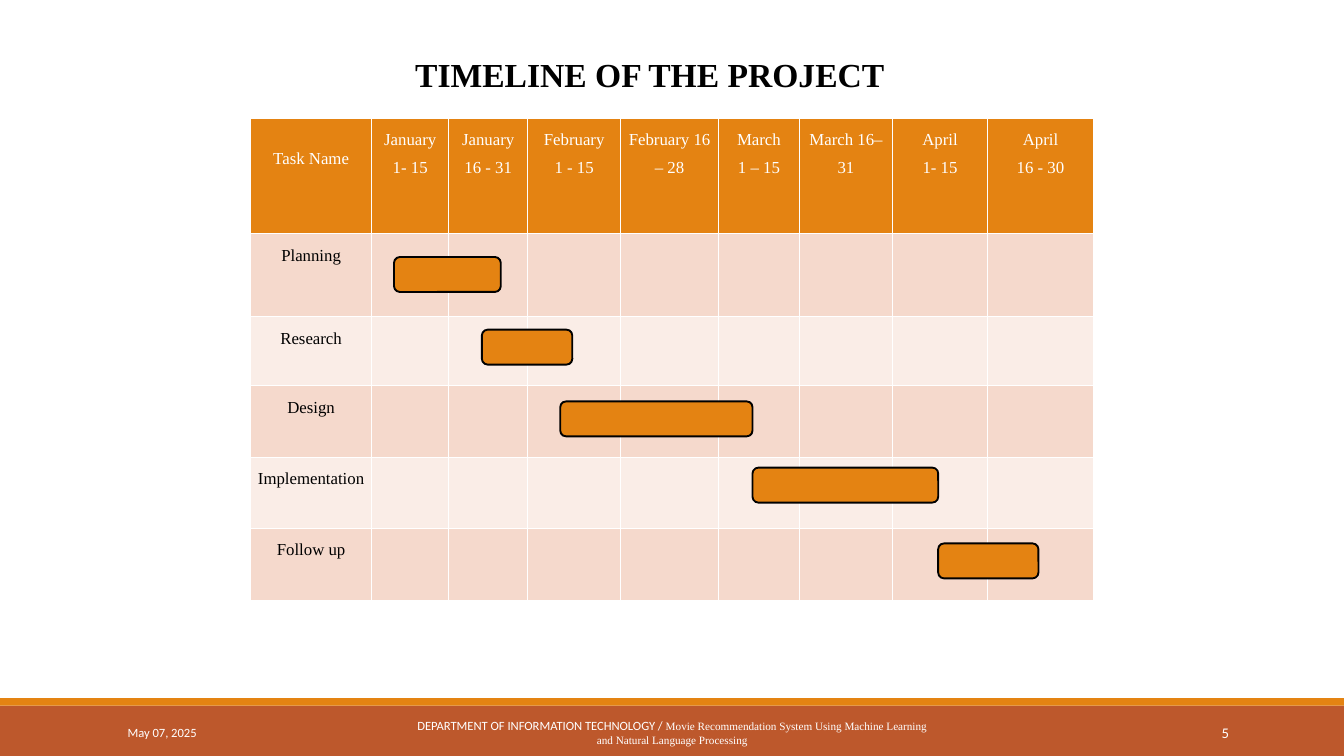
from itertools import accumulate

from lxml.etree import SubElement
from pptx import Presentation
from pptx.dml.color import RGBColor
from pptx.enum.shapes import MSO_SHAPE as SHAPE
from pptx.enum.text import MSO_ANCHOR as ANCHOR, PP_ALIGN as ALIGN
from pptx.oxml.ns import qn
from pptx.util import Inches, Pt

ORANGE = RGBColor(0xE4, 0x83, 0x12)
RUST = RGBColor(0xBD, 0x58, 0x2C)
BAND_DARK = RGBColor(0xF5, 0xD9, 0xCC)
BAND_LIGHT = RGBColor(0xFA, 0xED, 0xE7)
WHITE = RGBColor(0xFF, 0xFF, 0xFF)
BLACK = RGBColor(0, 0, 0)
SERIF, SANS = "Times New Roman", "Calibri"

WIDTH, HEIGHT = 20, 11.25
COLUMNS = [1.8, 1.15, 1.17, 1.39, 1.45, 1.21, 1.38, 1.42, 1.57]
ROWS = [1.72, 1.23, 1.03, 1.06, 1.06, 1.08]
BAR_HEIGHT = 0.52
HEADINGS = ["Task Name", "January\n1- 15", "January 16 - 31", "February\n1 - 15",
            "February 16 – 28", "March\n1 – 15", "March 16– 31", "April\n1- 15",
            "April\n16 - 30"]
# task, first column, last column, offset within the row
TASKS = [("Planning", 1.29, 2.66, 0.28),
         ("Research", 2.42, 3.48, 0.19),
         ("Design", 3.35, 5.42, 0.22),
         ("Implementation", 5.42, 7.48, 0.15),
         ("Follow up", 7.48, 8.48, 0.21)]


def style_run(r, size, font, color, bold=False):
    r.font.size, r.font.name, r.font.bold = Pt(size), font, bold
    r.font.color.rgb = color


def add_box(s, box, kind, fill, line=None):
    sp = s.shapes.add_shape(kind, *map(Inches, box))
    sp.shadow.inherit = False
    sp.fill.solid()
    sp.fill.fore_color.rgb = fill
    if line is None:
        sp.line.fill.background()
    else:
        sp.line.color.rgb = line
        sp.line.width = Pt(2)


def add_text(s, box, runs, align=ALIGN.LEFT, anchor=ANCHOR.MIDDLE):
    tf = s.shapes.add_textbox(*map(Inches, box)).text_frame
    tf.word_wrap = True
    tf.vertical_anchor = anchor
    p = tf.paragraphs[0]
    p.alignment = align
    for text, *style in runs:
        r = p.add_run()
        r.text = text
        style_run(r, *style)


def add_borders(cell):
    tc_pr = cell._tc.get_or_add_tcPr()
    for side in ("a:lnL", "a:lnR", "a:lnT", "a:lnB"):
        ln = SubElement(tc_pr, qn(side), w=str(Pt(1)))
        fill = SubElement(ln, qn("a:solidFill"))
        SubElement(fill, qn("a:srgbClr"), val=str(WHITE))


def fill_cell(cell, text, fill, color):
    add_borders(cell)
    cell.fill.solid()
    cell.fill.fore_color.rgb = fill
    cell.text_frame.text = text
    for p in cell.text_frame.paragraphs:
        p.alignment = ALIGN.CENTER
        p.line_spacing = 1.5
        for r in p.runs:
            style_run(r, 18, SERIF, color)


def add_schedule(s, left, top):
    table = s.shapes.add_table(len(ROWS), len(COLUMNS), Inches(left), Inches(top),
                               Inches(sum(COLUMNS)), Inches(sum(ROWS))).table
    for column, width in zip(table.columns, COLUMNS):
        column.width = Inches(width)
    for row, height in zip(table.rows, ROWS):
        row.height = Inches(height)
    lines = [HEADINGS] + [[task] + [""] * (len(COLUMNS) - 1) for task, *_ in TASKS]
    for i, line in enumerate(lines):
        band = BAND_DARK if i % 2 else BAND_LIGHT
        fill, color = (band, BLACK) if i else (ORANGE, WHITE)
        for j, text in enumerate(line):
            fill_cell(table.cell(i, j), text, fill, color)
    table.cell(0, 0).margin_top = Inches(0.32)


def add_bars(s, left, top):
    xs = list(accumulate(COLUMNS, initial=left))
    ys = list(accumulate(ROWS, initial=top))

    def column_x(position):
        i = int(position)
        return xs[i] + (position - i) * COLUMNS[i]

    for row, (_, start, end, offset) in enumerate(TASKS, 1):
        x = column_x(start)
        y = ys[row] + offset * ROWS[row]
        add_box(s, (x, y, column_x(end) - x, BAR_HEIGHT),
                SHAPE.FLOWCHART_ALTERNATE_PROCESS, ORANGE, BLACK)


def add_footer(s, top, height):
    add_box(s, (0, top, WIDTH, height), SHAPE.RECTANGLE, RUST)
    add_box(s, (0, top - 0.11, WIDTH, 0.11), SHAPE.RECTANGLE, ORANGE)
    y, h = top + 0.1, height * 0.8
    add_text(s, (WIDTH * 0.09, y, 2.06, h), [("May 07, 2025", 13.5, SANS, WHITE)])
    add_text(s, (6.05, y, 7.91, h),
             [("DEPARTMENT OF INFORMATION TECHNOLOGY /", 13.5, SANS, WHITE),
              (" Movie Recommendation System Using Machine Learning"
               " and Natural Language Processing", 12, SERIF, WHITE)], ALIGN.CENTER)
    add_text(s, (16.24, y, 2.15, h), [("5", 15.8, SANS, WHITE)], ALIGN.RIGHT)


def main():
    prs = Presentation()
    prs.slide_width, prs.slide_height = Inches(WIDTH), Inches(HEIGHT)
    s = prs.slides.add_slide(prs.slide_layouts[6])
    add_footer(s, HEIGHT - 0.75, 0.75)
    add_text(s, (6.08, 0.76, 7.26, 0.71),
             [("TIMELINE OF THE PROJECT", 36, SERIF, BLACK, True)], anchor=ANCHOR.TOP)
    left = (WIDTH - sum(COLUMNS)) / 2
    add_schedule(s, left, 1.76)
    add_bars(s, left, 1.76)
    prs.save("out.pptx")


if __name__ == "__main__":
    main()
